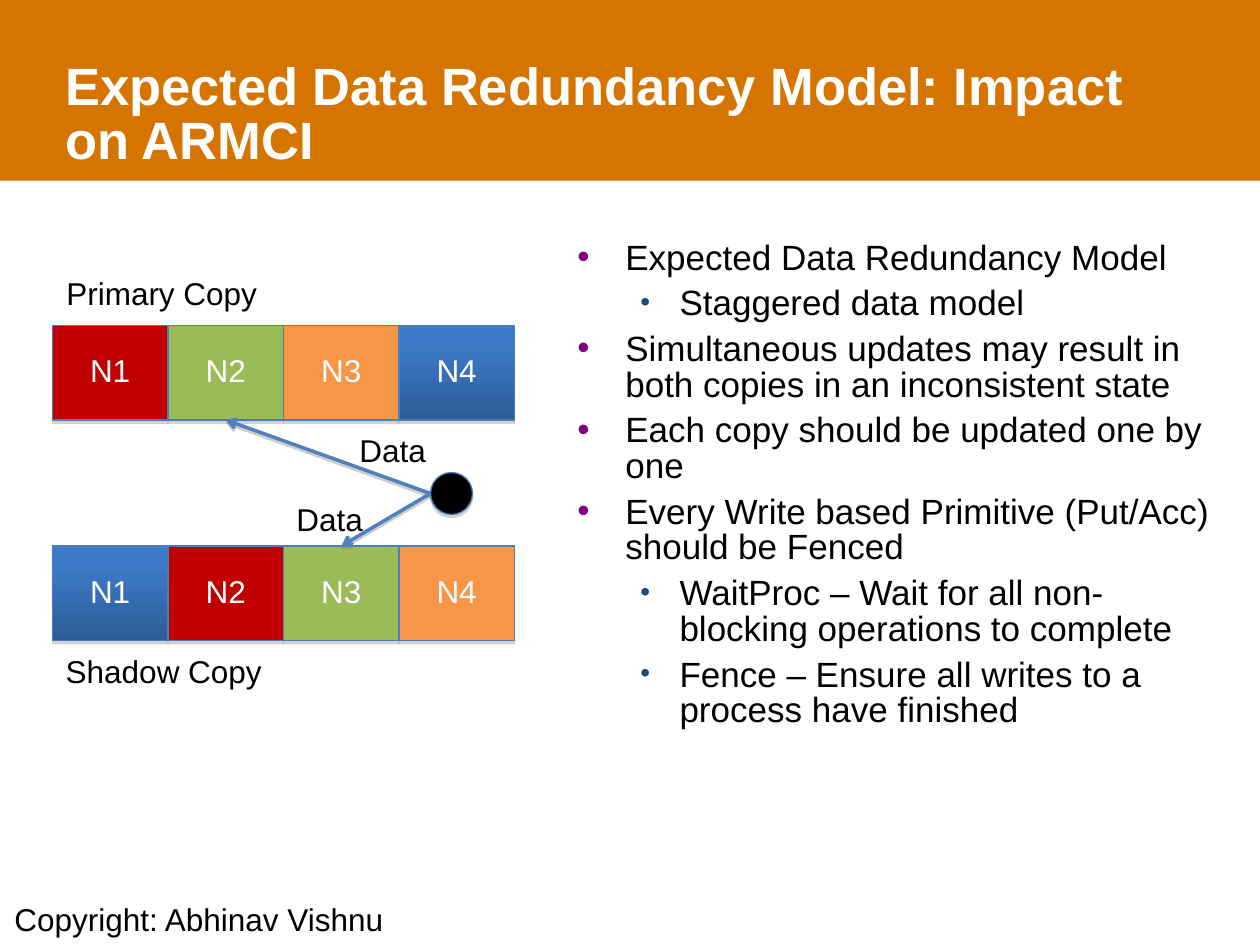
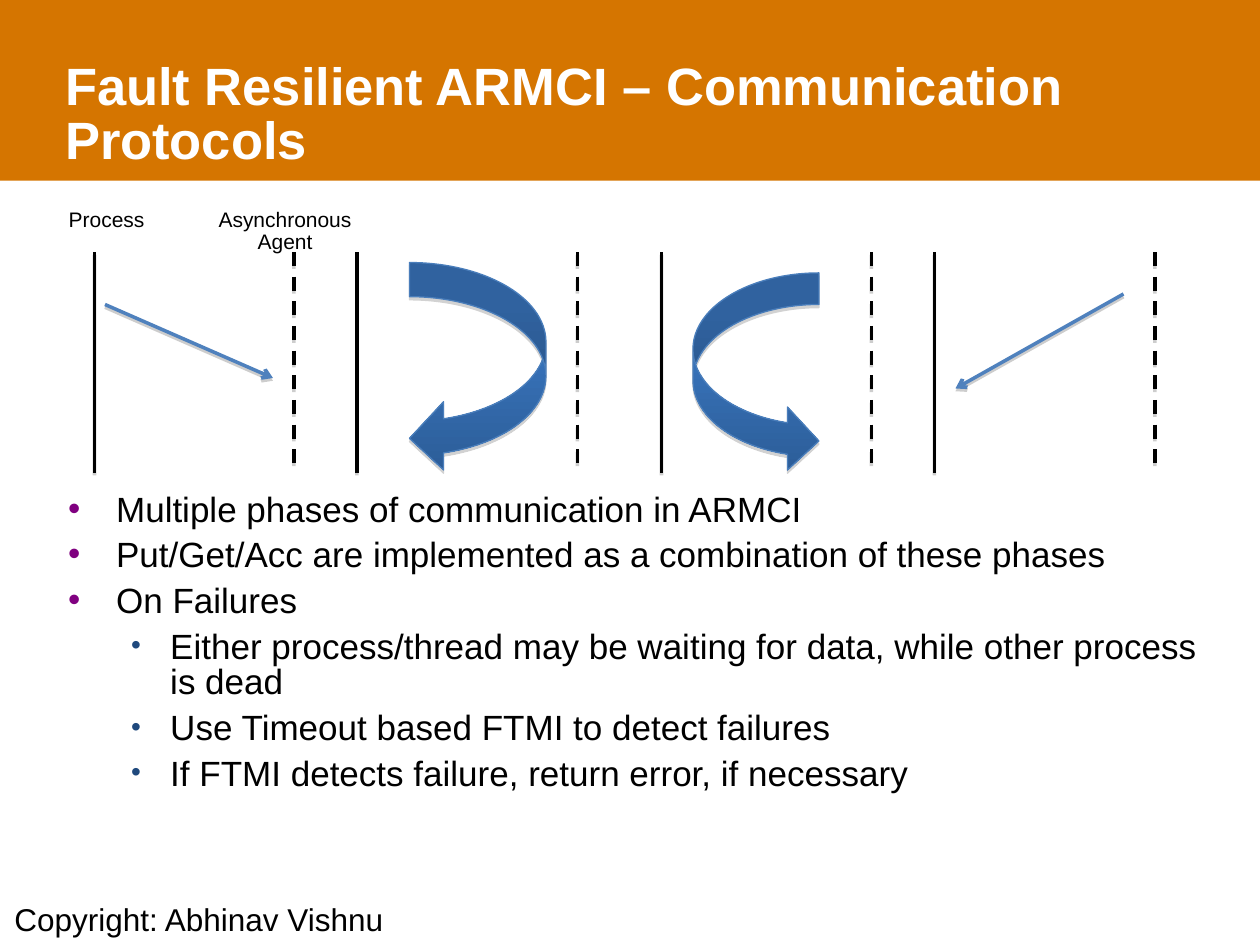
from typing import NamedTuple

from lxml import etree
from pptx import Presentation
from pptx.dml.color import RGBColor
from pptx.enum.dml import MSO_LINE
from pptx.enum.shapes import MSO_CONNECTOR, MSO_SHAPE
from pptx.enum.text import MSO_ANCHOR, MSO_AUTO_SIZE, PP_ALIGN
from pptx.oxml.ns import qn
from pptx.util import Inches, Pt

RECT, OVAL = MSO_SHAPE.RECTANGLE, MSO_SHAPE.OVAL
CURVED_LEFT, CURVED_RIGHT = MSO_SHAPE.CURVED_LEFT_ARROW, MSO_SHAPE.CURVED_RIGHT_ARROW
STRAIGHT, DASH = MSO_CONNECTOR.STRAIGHT, MSO_LINE.DASH
LEFT, CENTER = PP_ALIGN.LEFT, PP_ALIGN.CENTER
TOP, MIDDLE = MSO_ANCHOR.TOP, MSO_ANCHOR.MIDDLE
TOP_SIDE, BOTTOM_SIDE = 0, 2

COLORS = {
    "band": "D57500", "white": "FFFFFF", "black": "000000",
    "red": "C00000", "green": "9BBB59", "orange": "F79646",
    "blue_top": "3C7BC7", "blue_bottom": "2C5D98",
    "outline": "4A7EBB", "arrow": "4F81BD", "shadow": "808080",
    "bullet": "800080", "sub_bullet": "1F497D",
}
FONT = "Arial"
COLS, ROWS = 120, 90
TIGHT = {"margin_left": 0, "margin_right": 0, "margin_top": 0, "margin_bottom": 0,
         "vertical_anchor": TOP, "auto_size": MSO_AUTO_SIZE.NONE, "word_wrap": True}

prs = Presentation()
prs.slide_width, prs.slide_height = Inches(10), Inches(7.5)
layout = prs.slide_layouts[5]


class Area(NamedTuple):
    """A place on the grid, in columns and rows."""
    x: float
    y: float
    w: float
    h: float


class Label(NamedTuple):
    text: str
    area: Area
    size: int = 18
    wrap: bool = False


class Bullet(NamedTuple):
    text: str
    level: int = 0


class BulletStyle(NamedTuple):
    color: str
    margin: float
    hang: float
    percent: int


class Line(NamedTuple):
    x1: float
    y1: float
    x2: float
    y2: float
    color: str = "black"
    dashed: bool = False
    arrow: bool = False


class CopyRow(NamedTuple):
    y: float
    fills: tuple


BULLET_STYLES = (BulletStyle("bullet", 0.38, 0.38, 100),
                 BulletStyle("sub_bullet", 0.81, 0.31, 80))


# Helpers
def rgb(name: str) -> RGBColor:
    return RGBColor.from_string(COLORS[name])


def col(n: float) -> int:
    return round(prs.slide_width * n / COLS)


def row(n: float) -> int:
    return round(prs.slide_height * n / ROWS)


def place(area: Area) -> tuple:
    return col(area.x), row(area.y), col(area.w), row(area.h)


def apply(obj, values: dict) -> None:
    for name, value in values.items():
        setattr(obj, name, value)


def sub(parent, tag: str, **attrs):
    return etree.SubElement(parent, qn(tag), {k: str(v) for k, v in attrs.items()})


def add_shadow(effects, alpha: int, distance: float) -> None:
    shadow = sub(effects, "a:outerShdw", blurRad=0, dist=Pt(distance),
                 dir=5400000, rotWithShape=0)
    color = sub(shadow, "a:srgbClr", val=COLORS["shadow"])
    sub(color, "a:alpha", val=alpha * 1000)


def write(p, text: str, size: int, color: str, spacing: float,
          align=LEFT, bold: bool = False) -> None:
    p.alignment, p.line_spacing = align, spacing
    r = p.add_run()
    r.text = text
    apply(r.font, {"name": FONT, "size": Pt(size), "bold": bold})
    r.font.color.rgb = rgb(color)


# Drawing functions
def add_label(s, label: Label):
    box = s.shapes.add_textbox(*place(label.area))
    tf = box.text_frame
    tf.word_wrap = label.wrap
    write(tf.paragraphs[0], label.text, label.size, "black", 0.87, CENTER)
    return box


def add_block(s, kind, area: Area, fill: str, text: str = ""):
    sp = s.shapes.add_shape(kind, *place(area))
    if fill == "blue":
        sp.fill.gradient()
        sp.fill.gradient_angle = 270
        stops = ((0.2, "blue_top"), (1, "blue_bottom"))
        for stop, (position, color) in zip(sp.fill.gradient_stops, stops):
            stop.position = position
            stop.color.rgb = rgb(color)
    else:
        sp.fill.solid()
        sp.fill.fore_color.rgb = rgb(fill)
    sp.line.color.rgb = rgb("outline")
    sp.line.width = Pt(0.75)
    sp.shadow.inherit = False
    add_shadow(sp.element.spPr.find(qn("a:effectLst")), 35, 1.8)
    if text:
        sp.text_frame.vertical_anchor = MIDDLE
        write(sp.text_frame.paragraphs[0], text, 18, "white", 0.87, CENTER)
    return sp


def add_line(s, line: Line):
    c = s.shapes.add_connector(STRAIGHT, col(line.x1), row(line.y1),
                               col(line.x2), row(line.y2))
    c.line.color.rgb = rgb(line.color)
    c.line.width = Pt(2)
    if line.dashed:
        c.line.dash_style = DASH
    if line.arrow:
        sub(c.line._get_or_add_ln(), "a:tailEnd", type="arrow")
    add_shadow(sub(c.element.spPr, "a:effectLst"), 38, 1.6)
    return c


def add_bullets(s, area: Area, bullets: tuple) -> None:
    tf = s.shapes.add_textbox(*place(area)).text_frame
    apply(tf, TIGHT)
    for i, bullet in enumerate(bullets):
        p = tf.add_paragraph() if i else tf.paragraphs[0]
        style = BULLET_STYLES[bullet.level]
        pPr = p._p.get_or_add_pPr()
        pPr.set("marL", str(Inches(style.margin)))
        pPr.set("indent", str(-Inches(style.hang)))
        sub(sub(pPr, "a:buClr"), "a:srgbClr", val=COLORS[style.color])
        sub(pPr, "a:buSzPct", val=style.percent * 1000)
        sub(pPr, "a:buFont", typeface=FONT)
        sub(pPr, "a:buChar", char="•")
        p.level = bullet.level
        if i:
            p.space_before = Pt(5.7)
        write(p, bullet.text, 20, "black", 0.85)


def add_slide(title: str):
    s = prs.slides.add_slide(layout)
    sp = s.shapes.title
    sp.left, sp.top, sp.width, sp.height = place(Area(6.2, 6, 107.6, 13))
    apply(sp.text_frame, TIGHT)
    write(sp.text_frame.paragraphs[0], title, 30, "white", 0.85, bold=True)
    return s


def furnish_layout(s) -> None:
    """Move the band and the footer, drawn on a slide, to the shared layout."""
    for ph in list(layout.placeholders):
        if ph.placeholder_format.idx:
            layout.shapes.element.remove(ph.element)
    band = s.shapes.add_shape(RECT, *place(Area(0, 0, COLS, 17.2)))
    band.fill.solid()
    band.fill.fore_color.rgb = rgb("band")
    band.line.fill.background()
    band.shadow.inherit = False
    footer = add_label(s, Label("Copyright: Abhinav Vishnu", Area(0, 85.6, 37.9, 4.4)))
    for sp in (band, footer):
        layout.shapes.element.insert(2, sp.element)


# Slide 1: data redundancy model
def build_redundancy() -> None:
    s = add_slide("Expected Data Redundancy Model: Impact on ARMCI")
    furnish_layout(s)
    add_bullets(s, Area(55, 23, 61.5, 45), (
        Bullet("Expected Data Redundancy Model"),
        Bullet("Staggered data model", 1),
        Bullet("Simultaneous updates may result in both copies in an inconsistent state"),
        Bullet("Each copy should be updated one by one"),
        Bullet("Every Write based Primitive (Put/Acc) should be Fenced"),
        Bullet("WaitProc – Wait for all non-blocking operations to complete", 1),
        Bullet("Fence – Ensure all writes to a process have finished", 1),
    ))

    # Nodes of both copies, the second staggered by one
    rows = (CopyRow(31, ("red", "green", "orange", "blue")),
            CopyRow(52, ("blue", "red", "green", "orange")))
    primary, shadow = [
        [add_block(s, RECT, Area(5 + 11 * i, copy_row.y, 11, 9), fill, f"N{i + 1}")
         for i, fill in enumerate(copy_row.fills)]
        for copy_row in rows
    ]

    # Writer and its updates
    add_block(s, OVAL, Area(41, 45, 4, 4), "black")
    for node, side, x, y in ((primary[1], BOTTOM_SIDE, 21.5, 40),
                             (shadow[2], TOP_SIDE, 32.5, 52)):
        update = add_line(s, Line(41, 47, x, y, "arrow", arrow=True))
        update.end_connect(node, side)

    for label in (Label("Primary Copy", Area(5, 26, 20.8, 4.4)),
                  Label("Shadow Copy", Area(5, 62, 21.2, 4.4)),
                  Label("Data", Area(33, 41, 8.8, 4.4)),
                  Label("Data", Area(27, 47.5, 8.8, 4.4))):
        add_label(s, label)


# Slide 2: communication protocols
def build_protocols() -> None:
    s = add_slide("Fault Resilient ARMCI – Communication Protocols")
    add_bullets(s, Area(6.5, 47, 109.5, 32), (
        Bullet("Multiple phases of communication in ARMCI"),
        Bullet("Put/Get/Acc are implemented as a combination of these phases"),
        Bullet("On Failures"),
        Bullet("Either process/thread may be waiting for data, while other process is dead", 1),
        Bullet("Use Timeout based FTMI to detect failures", 1),
        Bullet("If FTMI detects failure, return error, if necessary", 1),
    ))

    # Process and agent lifelines of the four phases
    for process_x, agent_x in ((9, 28), (34, 55), (63, 83), (89, 110)):
        add_line(s, Line(process_x, 24, process_x, 45))
        add_line(s, Line(agent_x, 24, agent_x, 45, dashed=True))

    # Messages
    add_line(s, Line(10, 29, 26, 36, "arrow", arrow=True))
    add_block(s, CURVED_LEFT, Area(39, 25, 13, 20), "blue")
    add_block(s, CURVED_RIGHT, Area(66, 26, 12, 19), "blue")
    add_line(s, Line(107, 28, 91, 37, "arrow", arrow=True))

    add_label(s, Label("Process", Area(2.3, 19.4, 15.7, 3.4), 12, True))
    add_label(s, Label("Asynchronous Agent", Area(19.3, 19.4, 15.7, 5.4), 12, True))


def main() -> None:
    build_redundancy()
    build_protocols()
    prs.save("out.pptx")


if __name__ == "__main__":
    main()
